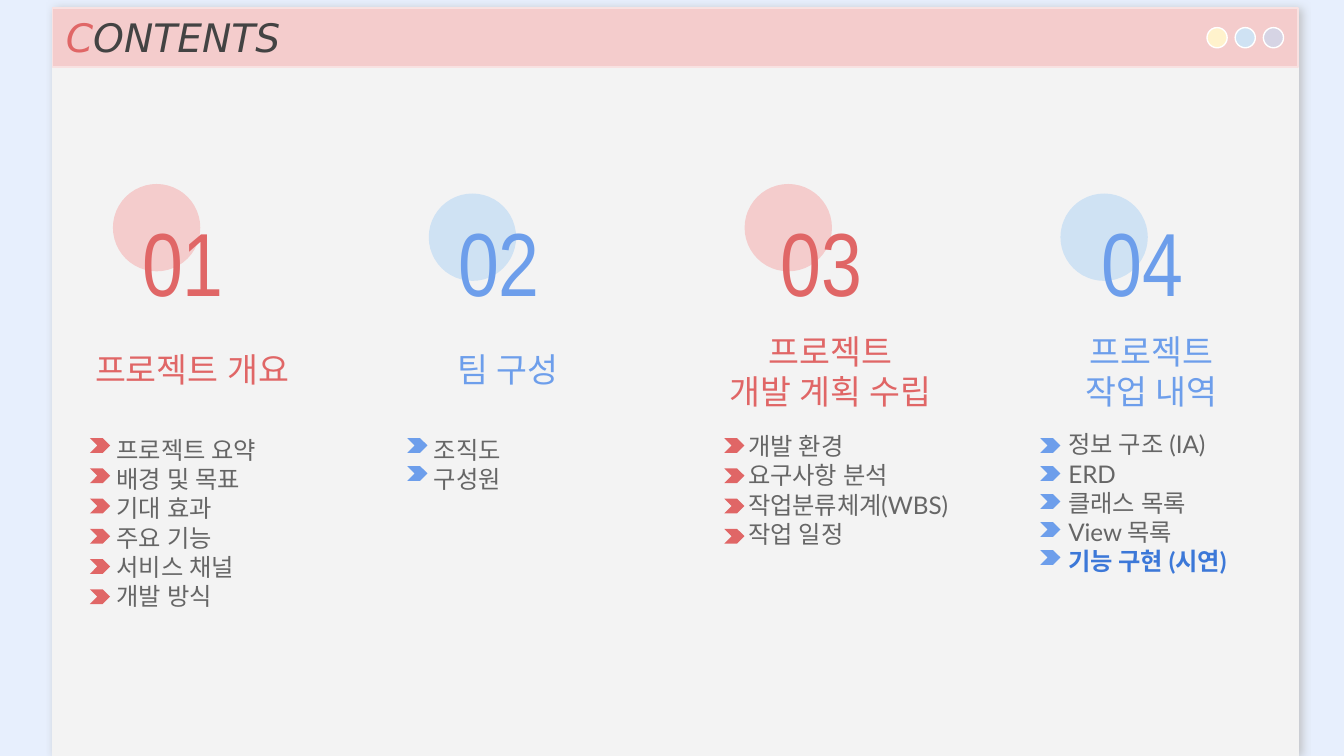
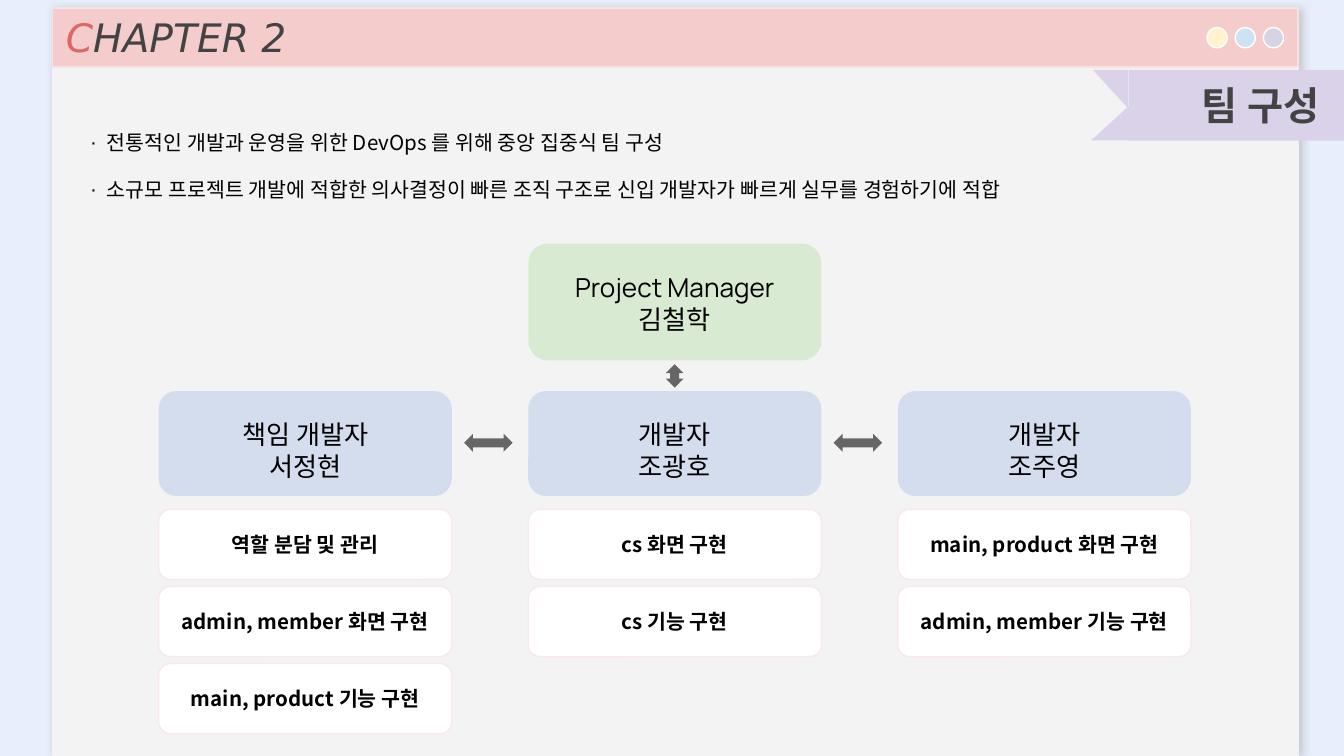
from dataclasses import dataclass

from lxml import etree
from pptx import Presentation
from pptx.dml.color import RGBColor
from pptx.enum.shapes import MSO_SHAPE
from pptx.enum.text import MSO_ANCHOR, MSO_AUTO_SIZE, PP_ALIGN
from pptx.oxml.ns import qn
from pptx.shapes.autoshape import Shape
from pptx.slide import Slide
from pptx.text.text import TextFrame, _Paragraph
from pptx.util import Pt

RECT, ROUNDED = MSO_SHAPE.RECTANGLE, MSO_SHAPE.ROUNDED_RECTANGLE
OVAL, CONNECTOR_DOT = MSO_SHAPE.OVAL, MSO_SHAPE.FLOWCHART_CONNECTOR
CHEVRON, TRIANGLE = MSO_SHAPE.CHEVRON, MSO_SHAPE.RIGHT_TRIANGLE
TWO_WAY_ARROW = MSO_SHAPE.LEFT_RIGHT_ARROW
TOP, MIDDLE = MSO_ANCHOR.TOP, MSO_ANCHOR.MIDDLE
LEFT, CENTER, RIGHT = PP_ALIGN.LEFT, PP_ALIGN.CENTER, PP_ALIGN.RIGHT
TITLE_AND_BODY, TITLE_ONLY = 1, 5

COLORS = {
    "backdrop": "E7EFFD", "panel": "F3F3F3", "shadow": "B7B7B7",
    "band": "F4CCCC", "band_edge": "F8E1E1", "white": "FFFFFF",
    "yellow": "FFF2CC", "pale_blue": "CFE2F3", "lilac": "D6D4E4",
    "red": "E06666", "blue": "6D9EEB", "strong_blue": "3C78D8",
    "dark": "434343", "gray": "666666", "black": "000000",
    "tag": "D9D2E9", "manager": "D9EAD3", "developer": "D4DDEE",
    "task_edge": "F9E9E9",
}
TITLE_FONT, NUMBER_FONT, LIST_FONT = "DejaVu Sans", "Arial Narrow", "Lato"
KOREAN_FONT, LATIN_FONT = "Noto Sans CJK KR", "Manrope"
INSET = 7.2
PANEL_LEFT, PANEL_WIDTH = 28.1, 667.4


@dataclass(frozen=True)
class Box:
    left: float
    top: float
    width: float
    height: float

    def in_points(self) -> tuple[Pt, Pt, Pt, Pt]:
        return Pt(self.left), Pt(self.top), Pt(self.width), Pt(self.height)


@dataclass(frozen=True)
class Theme:
    text: str
    circle: str
    circle_top: float
    chevron_pitch: float


@dataclass(frozen=True)
class Section:
    heading: tuple[str, ...]
    topics: tuple[str, ...]
    theme: Theme
    heading_left: float
    number_left: float
    chevron_left: float
    topics_left: float
    topics_top: float
    highlight: str = ""


@dataclass(frozen=True)
class Developer:
    role: str
    person: str
    tasks: tuple[str, ...]


RED_THEME = Theme("red", "band", 98.6, 16.2)
BLUE_THEME = Theme("blue", "pale_blue", 103.7, 15)

SECTIONS = (
    Section(("프로젝트 개요",),
            ("프로젝트 요약", "배경 및 목표", "기대 효과", "주요 기능", "서비스 채널", "개발 방식"),
            RED_THEME, 28, 69, 48.2, 55.4, 226),
    Section(("팀 구성",), ("조직도", "구성원"),
            BLUE_THEME, 197.3, 238.3, 218.2, 225.4, 226),
    Section(("프로젝트", "개발 계획 수립"),
            ("개발 환경", "요구사항 분석", "작업분류체계(WBS)", "작업 일정"),
            RED_THEME, 370, 411, 388, 393.8, 224),
    Section(("프로젝트", "작업 내역"),
            ("정보 구조 (IA)", "ERD", "클래스 목록", "View 목록", "기능 구현 (시연)"),
            BLUE_THEME, 542, 583.2, 557.3, 565.2, 223, "기능 구현 (시연)"),
)

DEVELOPERS = (
    Developer("책임 개발자", "서정현",
              ("역할 분담 및 관리", "admin, member 화면 구현", "main, product 기능 구현")),
    Developer("개발자", "조광호", ("cs 화면 구현", "cs 기능 구현")),
    Developer("개발자", "조주영", ("main, product 화면 구현", "admin, member 기능 구현")),
)

TEAM_POINTS = (
    "전통적인 개발과 운영을 위한 DevOps 를 위해 중앙 집중식 팀 구성",
    "소규모 프로젝트 개발에 적합한 의사결정이 빠른 조직 구조로 신입 개발자가 빠르게 실무를 경험하기에 적합",
)


def rgb(color: str) -> RGBColor:
    return RGBColor.from_string(COLORS[color])


def write(frame: TextFrame, text: str, *, font: str, size: float, color: str,
          bold: bool = False, italic: bool = False, align: PP_ALIGN = LEFT,
          same_line: bool = False) -> _Paragraph:
    """Add text as a new paragraph, or as a further run of the last one."""
    paragraph = frame.paragraphs[-1]
    if paragraph.runs and not same_line:
        paragraph = frame.add_paragraph()
    paragraph.alignment = align
    run = paragraph.add_run()
    run.text = text
    run.font.size, run.font.name = Pt(size), font
    run.font.bold, run.font.italic = bold, italic
    run.font.color.rgb = rgb(color)
    latin = run.font._element.find(qn("a:latin"))
    east_asian = etree.Element(qn("a:ea"), typeface=font)
    latin.addnext(east_asian)
    return paragraph


def prepare_frame(frame: TextFrame, anchor: MSO_ANCHOR = TOP) -> TextFrame:
    frame.word_wrap, frame.auto_size = True, MSO_AUTO_SIZE.NONE
    frame.vertical_anchor = anchor
    frame.margin_left = frame.margin_right = Pt(INSET)
    frame.margin_top = frame.margin_bottom = Pt(INSET)
    return frame


def add_text_box(slide: Slide, box: Box) -> TextFrame:
    return prepare_frame(slide.shapes.add_textbox(*box.in_points()).text_frame)


def add_figure(slide: Slide, preset: MSO_SHAPE, box: Box, fill: str,
               edge: str | None = None, rotation: float = 0) -> Shape:
    figure = slide.shapes.add_shape(preset, *box.in_points())
    figure.shadow.inherit = False
    figure.rotation = rotation
    figure.fill.solid()
    figure.fill.fore_color.rgb = rgb(fill)
    if edge:
        figure.line.color.rgb = rgb(edge)
        figure.line.width = Pt(0.75)
    else:
        figure.line.fill.background()
    return figure


def place_placeholder(placeholder: Shape, box: Box, anchor: MSO_ANCHOR) -> TextFrame:
    """Move a placeholder to its box and in front of the shapes drawn so far."""
    (placeholder.left, placeholder.top,
     placeholder.width, placeholder.height) = box.in_points()
    placeholder.element.getparent().append(placeholder.element)
    return prepare_frame(placeholder.text_frame, anchor)


def add_side_shadow(figure: Shape) -> None:
    effects = figure.element.spPr.find(qn("a:effectLst"))
    shadow = etree.SubElement(effects, qn("a:outerShdw"), blurRad=str(Pt(4.5)),
                              dist=str(Pt(1.5)), dir="0", algn="bl", rotWithShape="0")
    tint = etree.SubElement(shadow, qn("a:srgbClr"), val=COLORS["shadow"])
    etree.SubElement(tint, qn("a:alpha"), val="80000")


def add_framed_slide(deck: Presentation, layout: int, title: str) -> Slide:
    """Add a slide with the window panel, title band and its three dots."""
    slide = deck.slides.add_slide(deck.slide_layouts[layout])
    slide.background.fill.solid()
    slide.background.fill.fore_color.rgb = rgb("backdrop")
    panel = add_figure(slide, RECT, Box(PANEL_LEFT, 5, PANEL_WIDTH, 400), "panel", "panel")
    add_side_shadow(panel)
    add_figure(slide, RECT, Box(PANEL_LEFT, 4.3, PANEL_WIDTH, 31.7), "band", "band_edge")
    for index, color in enumerate(("yellow", "pale_blue", "lilac")):
        add_figure(slide, OVAL, Box(646.6 + 15.1 * index, 14.8, 10.8, 10.8), color, "white")
    frame = place_placeholder(slide.shapes.title, Box(PANEL_LEFT, 0, 337.7, 40.3), TOP)
    style = {"font": TITLE_FONT, "size": 21, "italic": True}
    write(frame, title[0], color="red", **style)
    write(frame, title[1:], color="dark", same_line=True, **style)
    return slide


def add_section(slide: Slide, index: int, section: Section) -> None:
    theme = section.theme
    add_figure(slide, CONNECTOR_DOT,
               Box(60.5 + 169.2 * index, theme.circle_top, 46.8, 46.8), theme.circle)
    number = add_text_box(slide, Box(section.number_left, 103.7, 108.7, 72.7))
    write(number, f"{index + 1:02}", font=NUMBER_FONT, size=48, color=theme.text)

    extra_lines = len(section.heading) - 1
    heading = add_text_box(slide, Box(section.heading_left, 180 - 10 * extra_lines,
                                      149.8, 36 + 22 * extra_lines))
    for line in section.heading:
        write(heading, line, font=LIST_FONT, size=18, color=theme.text, align=CENTER)

    topics = add_text_box(slide, Box(section.topics_left, section.topics_top,
                                     126, 15 + 15.7 * len(section.topics)))
    for row, topic in enumerate(section.topics):
        strong = topic == section.highlight
        write(topics, topic, font=LIST_FONT, size=13, bold=strong,
              color="strong_blue" if strong else "gray")
        add_figure(slide, CHEVRON, Box(section.chevron_left, 234.7 + theme.chevron_pitch * row,
                                       10.8, 7.9), theme.text)


def add_chapter_tag(slide: Slide, text: str) -> None:
    for top, rotation in ((37.4, 180), (55.4, 270)):
        add_figure(slide, TRIANGLE, Box(585.5, top, 18.9, 20.7), "tag", rotation=rotation)
    ribbon = add_figure(slide, RECT, Box(604.6, 37.4, 115.4, 38), "tag")
    frame = prepare_frame(ribbon.text_frame, MIDDLE)
    frame.margin_right = Pt(13)
    write(frame, text, font=LIST_FONT, size=21, color="dark", bold=True, align=RIGHT)


def add_team_points(slide: Slide) -> None:
    frame = place_placeholder(slide.placeholders[1], Box(28.1, 40.3, 554.4, 97.2), MIDDLE)
    for index, point in enumerate(TEAM_POINTS):
        paragraph = write(frame, point, font=KOREAN_FONT, size=11, color="black")
        properties = paragraph._p.get_or_add_pPr()
        properties.set("marL", str(Pt(22)))
        properties.set("indent", str(-Pt(9)))
        etree.SubElement(properties, qn("a:buFont"), typeface="Arial")
        etree.SubElement(properties, qn("a:buChar"), char="·")
        paragraph.line_spacing = 1.01
        paragraph.space_before = Pt(12 if index else 0)


def add_member(slide: Slide, box: Box, fill: str, role: str, person: str,
               role_font: str = KOREAN_FONT) -> None:
    frame = prepare_frame(add_figure(slide, ROUNDED, box, fill).text_frame)
    frame.margin_top = Pt(12)
    for text, font in ((role, role_font), (person, KOREAN_FONT)):
        write(frame, text, font=font, size=14, color="black", align=CENTER)


def add_organization(slide: Slide) -> None:
    first_left, column_step, width = 85, 198, 157
    add_member(slide, Box(first_left + column_step, 130.5, width, 62.6), "manager",
               "Project Manager", "김철학", LATIN_FONT)
    for column, developer in enumerate(DEVELOPERS):
        left = first_left + column_step * column
        add_member(slide, Box(left, 209.5, width, 56.2), "developer",
                   developer.role, developer.person)
        for row, task in enumerate(developer.tasks):
            card = add_figure(slide, ROUNDED, Box(left, 272.9 + 41.3 * row, width, 37.6),
                              "white", "task_edge")
            write(prepare_frame(card.text_frame, MIDDLE), task, font=KOREAN_FONT,
                  size=11, color="black", bold=True, align=CENTER)
    for gap in range(len(DEVELOPERS) - 1):
        add_figure(slide, TWO_WAY_ARROW,
                   Box(248.6 + column_step * gap, 232.4, 26, 9.6), "gray")
    add_figure(slide, TWO_WAY_ARROW, Box(355.2, 196.6, 12.5, 9.6), "gray", rotation=90)


def main() -> None:
    deck = Presentation()
    deck.slide_width, deck.slide_height = Pt(720), Pt(405)

    contents = add_framed_slide(deck, TITLE_ONLY, "CONTENTS")
    for index, section in enumerate(SECTIONS):
        add_section(contents, index, section)

    team = add_framed_slide(deck, TITLE_AND_BODY, "CHAPTER 2")
    add_chapter_tag(team, "팀 구성")
    add_organization(team)
    add_team_points(team)

    deck.save("out.pptx")


if __name__ == "__main__":
    main()
